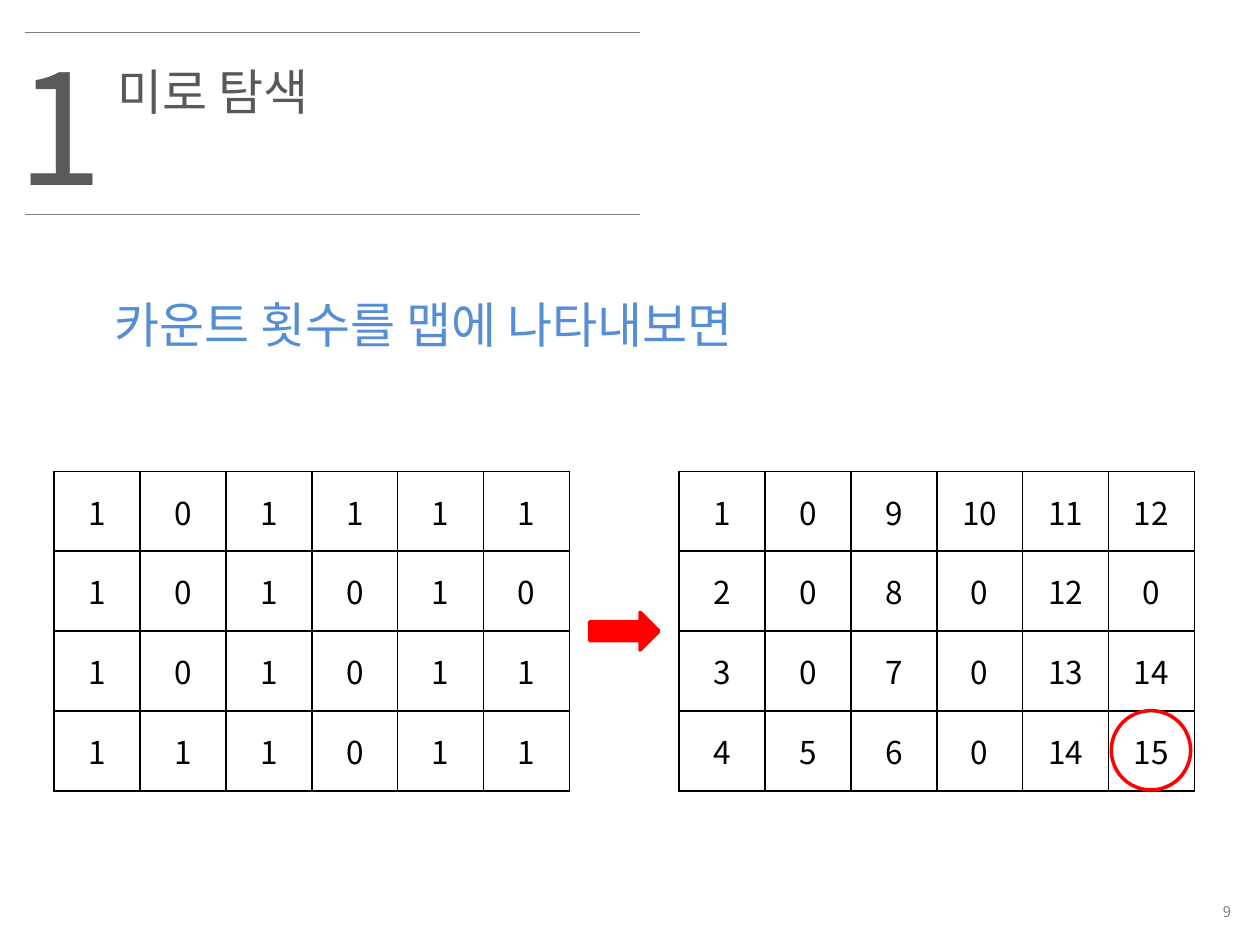
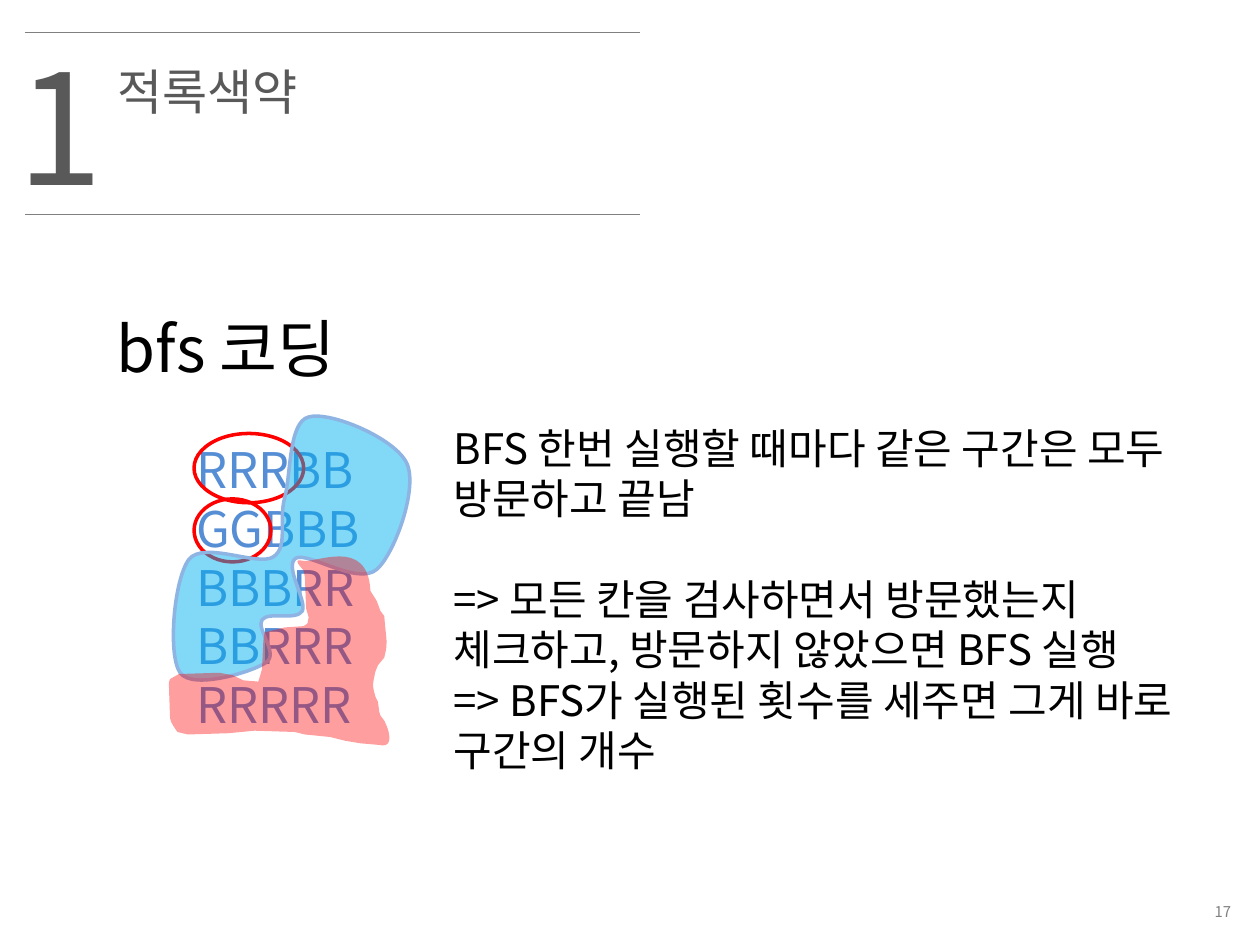
import pptx
import pptx.dml.color
import pptx.enum.shapes
import pptx.enum.text
import pptx.oxml
import pptx.oxml.ns
import pptx.util
from lxml import etree

Inches, Pt = pptx.util.Inches, pptx.util.Pt
ALIGN = pptx.enum.text.PP_ALIGN
ANCHOR = pptx.enum.text.MSO_ANCHOR
SHAPES = pptx.enum.shapes.MSO_SHAPE
qn = pptx.oxml.ns.qn

FONT = "Noto Sans CJK KR"
COLORS = {
    "rule": "808080", "heading": "595959", "accent": "558ED5", "text": "000000",
    "mark": "FF0000", "region": "00B0F0", "region_edge": "8EB4E3",
}
LINE_HEIGHT = 1.2   # line pitch as a multiple of the text size

MAZE = {
    "number": 9, "title": "미로 탐색", "lead": "카운트 횟수를 맵에 나타내보면",
    "map": [[1, 0, 1, 1, 1, 1], [1, 0, 1, 0, 1, 0],
            [1, 0, 1, 0, 1, 1], [1, 1, 1, 0, 1, 1]],
    "counts": [[1, 0, 9, 10, 11, 12], [2, 0, 8, 0, 12, 0],
               [3, 0, 7, 0, 13, 14], [4, 5, 6, 0, 14, 15]],
}
COLOR_BLIND = {
    "number": 17, "title": "적록색약", "lead": "bfs 코딩",
    "grid": ["RRRBB", "GGBBB", "BBBRR", "BBRRR", "RRRRR"],
    "notes": ["BFS 한번 실행할 때마다 같은 구간은 모두 방문하고 끝남",
              "=> 모든 칸을 검사하면서 방문했는지 체크하고, 방문하지 않았으면 BFS 실행",
              "=> BFS가 실행된 횟수를 세주면 그게 바로 구간의 개수"],
    "rings": [(1.54, 3.44, 0.87, 0.55), (1.54, 3.96, 0.61, 0.5)],
}

# Outlines in inches: a pair is a corner, six numbers are a Bézier curve.
BLUE_REGION = [
    (2.26, 3.95),
    (2.31, 3.77, 2.29, 3.35, 2.45, 3.31), (2.62, 3.26, 3.14, 3.48, 3.23, 3.68),
    (3.32, 3.88, 3.13, 4.4, 2.99, 4.52), (2.84, 4.65, 2.45, 4.38, 2.35, 4.43),
    (2.25, 4.49, 2.44, 4.77, 2.4, 4.85), (2.35, 4.93, 2.13, 4.85, 2.08, 4.92),
    (2.03, 4.99, 2.22, 5.19, 2.11, 5.26), (2.01, 5.33, 1.53, 5.48, 1.43, 5.34),
    (1.33, 5.2, 1.38, 4.6, 1.5, 4.44), (1.62, 4.29, 2.05, 4.5, 2.17, 4.42),
    (2.29, 4.34, 2.21, 4.14, 2.26, 3.95),
]
RED_REGION = [
    (2.4, 4.45), (2.31, 4.43, 2.4, 4.51, 2.41, 4.53), (2.42, 4.58), (2.43, 4.83),
    (2.45, 4.9), (2.44, 4.95), (2.41, 4.97), (2.26, 4.98), (2.18, 5), (2.1, 5.02),
    (2.09, 5.09), (2.08, 5.31), (2.06, 5.38), (2.05, 5.41), (1.93, 5.4),
    (1.85, 5.36), (1.74, 5.34), (1.42, 5.35), (1.35, 5.39), (1.34, 5.42),
    (1.35, 5.7), (1.35, 5.73, 1.4, 5.8, 1.41, 5.81), (1.49, 5.83), (1.81, 5.82),
    (2.02, 5.8), (2.34, 5.81), (2.42, 5.83), (2.62, 5.85), (2.74, 5.88),
    (2.86, 5.9), (2.98, 5.91), (3.01, 5.91, 3.06, 5.93, 3.08, 5.9),
    (3.11, 5.85, 3.07, 5.76, 3.05, 5.72), (3.02, 5.68), (3.01, 5.65),
    (3, 5.57), (2.98, 5.53), (2.96, 5.45, 2.95, 5.46, 2.98, 5.33), (3, 5.28),
    (3.05, 5.22), (3.08, 5.09, 3.07, 5.13, 3.05, 4.89), (3.02, 4.85),
    (2.99, 4.77), (2.94, 4.69), (2.92, 4.25, 2.49, 4.48, 2.4, 4.45),
]


def rgb(name):
    return pptx.dml.color.RGBColor.from_string(COLORS[name])


def add_run(paragraph, text, size, color):
    run = paragraph.add_run()
    run.text = str(text)
    run.font.name, run.font.size = FONT, Pt(size)
    run.font.color.rgb = rgb(color)
    properties = run._r.get_or_add_rPr()
    properties.set("kern", "0")
    etree.SubElement(properties, qn("a:ea")).set("typeface", FONT)


def write(shape, box, lines, size, color):
    """Place a text shape and fill it with one paragraph per line, without bullets."""
    shape.left, shape.top, shape.width, shape.height = map(Inches, box)
    frame = shape.text_frame
    frame.word_wrap = True
    frame.auto_size = pptx.enum.text.MSO_AUTO_SIZE.NONE
    frame.vertical_anchor = ANCHOR.TOP
    for index, line in enumerate(lines):
        paragraph = frame.paragraphs[0] if index == 0 else frame.add_paragraph()
        paragraph.alignment = ALIGN.LEFT
        paragraph.line_spacing = Pt(size * LINE_HEIGHT)
        paragraph.space_before = paragraph.space_after = Pt(0)
        properties = paragraph._p.get_or_add_pPr()
        properties.set("marL", "0")
        properties.set("indent", "0")
        etree.SubElement(properties, qn("a:buNone"))
        add_run(paragraph, line, size, color)
    return frame


def add_text(slide, box, lines, size, color):
    return write(slide.shapes.add_textbox(0, 0, 0, 0), box, lines, size, color)


def add_rule(slide, y):
    rule = slide.shapes.add_connector(
        pptx.enum.shapes.MSO_CONNECTOR.STRAIGHT,
        Inches(0.2), Inches(y), Inches(5.08), Inches(y))
    rule.line.color.rgb, rule.line.width = rgb("rule"), Pt(0.75)
    etree.SubElement(rule._element.spPr, qn("a:effectLst"))


def start_slide(presentation, content):
    """Add a slide with its heading between two rules and its page number."""
    slide = presentation.slides.add_slide(presentation.slide_layouts[1])
    for y in (0.26, 1.7):
        add_rule(slide, y)
    add_text(slide, (0.04, 0.2, 0.79, 1.58), ["1"], 88, "heading")
    write(slide.shapes.title, (0.83, 0.44, 2.83, 0.57), [content["title"]], 28, "heading")
    footer = add_text(slide, (7.76, 7.1, 2.11, 0.27), [content["number"]], 8.5, "rule")
    footer.vertical_anchor = ANCHOR.MIDDLE
    footer.paragraphs[0].alignment = ALIGN.RIGHT
    return slide


def add_mark(slide, kind, box, filled=False):
    mark = slide.shapes.add_shape(kind, *map(Inches, box))
    mark.shadow.inherit = False
    mark.line.color.rgb, mark.line.width = rgb("mark"), Pt(2)
    if filled:
        mark.fill.solid()
        mark.fill.fore_color.rgb = rgb("mark")
    else:
        mark.fill.background()


def add_borders(cell):
    properties = cell._tc.get_or_add_tcPr()
    for index, side in enumerate(("lnL", "lnR", "lnT", "lnB")):
        border = etree.Element(qn("a:" + side), w=str(Pt(1)))
        fill = etree.SubElement(border, qn("a:solidFill"))
        etree.SubElement(fill, qn("a:srgbClr"), val=COLORS["text"])
        properties.insert(index, border)


def add_map(slide, left, rows):
    table = slide.shapes.add_table(
        len(rows), len(rows[0]), Inches(left), Inches(3.74),
        Inches(4.09), Inches(2.54)).table
    table.first_row = table.horz_banding = False
    for row_index, row in enumerate(rows):
        for column_index, value in enumerate(row):
            cell = table.cell(row_index, column_index)
            cell.fill.background()
            cell.vertical_anchor = ANCHOR.MIDDLE
            paragraph = cell.text_frame.paragraphs[0]
            paragraph.alignment = ALIGN.CENTER
            add_run(paragraph, value, 18, "text")
            add_borders(cell)


def bend(region, outline):
    """Turn the straight segments that have control points into Bézier curves."""
    segments = list(region._element.spPr.iter(qn("a:lnTo")))
    for segment, part in zip(segments, outline[1:]):
        if len(part) == 6:
            segment.tag = qn("a:cubicBezTo")
            for index in (0, 1):
                x, y = part[2 * index:2 * index + 2]
                control = etree.Element(qn("a:pt"), x=str(Inches(x) - region.left),
                                        y=str(Inches(y) - region.top))
                segment.insert(index, control)


def add_region(slide, outline, color, opacity, edge=None):
    points = [(Inches(part[-2]), Inches(part[-1])) for part in outline]
    builder = slide.shapes.build_freeform(*points[0])
    builder.add_line_segments(points[1:], close=True)
    region = builder.convert_to_shape()
    bend(region, outline)
    region.shadow.inherit = False
    region.fill.solid()
    region.fill.fore_color.rgb = rgb(color)
    tint = region._element.spPr.find(qn("a:solidFill")).find(qn("a:srgbClr"))
    etree.SubElement(tint, qn("a:alpha"), val=str(opacity * 1000))
    if edge:
        region.line.color.rgb, region.line.width = rgb(edge), Pt(2)
    else:
        region.line.fill.background()


def build_maze(presentation):
    slide = start_slide(presentation, MAZE)
    write(slide.placeholders[1], (0.81, 2.29, 5.84, 0.57), [MAZE["lead"]], 28, "accent")
    add_map(slide, 0.43, MAZE["map"])
    add_map(slide, 5.39, MAZE["counts"])
    add_mark(slide, SHAPES.RIGHT_ARROW, (4.68, 4.86, 0.55, 0.3), filled=True)
    add_mark(slide, SHAPES.OVAL, (8.82, 5.64, 0.63, 0.63))


def build_color_blind(presentation):
    slide = start_slide(presentation, COLOR_BLIND)
    add_text(slide, (1.46, 3.44, 2.2, 2.46), COLOR_BLIND["grid"], 28, "accent")
    add_text(slide, (0.83, 2.41, 2.42, 0.71), [COLOR_BLIND["lead"]], 36, "text")
    for ring in COLOR_BLIND["rings"]:
        add_mark(slide, SHAPES.OVAL, ring)
    add_region(slide, BLUE_REGION, "region", 49, "region_edge")
    add_region(slide, RED_REGION, "mark", 38)
    notes = write(slide.placeholders[1], (3.5, 3.3, 6.2, 2.93),
                  COLOR_BLIND["notes"], 24, "text")
    notes.paragraphs[1].space_before = Pt(24 * LINE_HEIGHT)


def main():
    presentation = pptx.Presentation()
    presentation.slide_width, presentation.slide_height = Inches(10), Inches(7.5)
    build_maze(presentation)
    build_color_blind(presentation)
    presentation.save("out.pptx")


if __name__ == "__main__":
    main()
